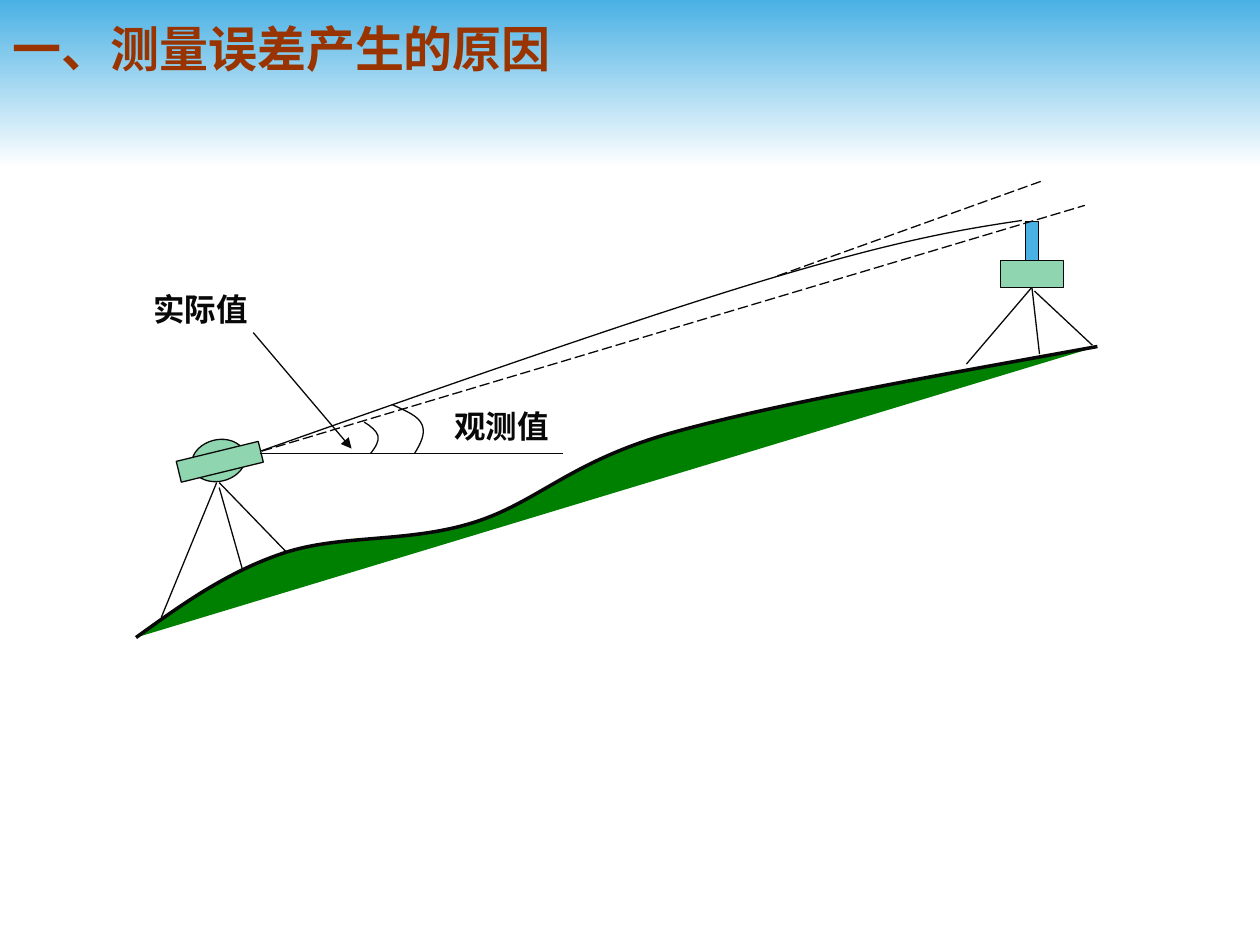
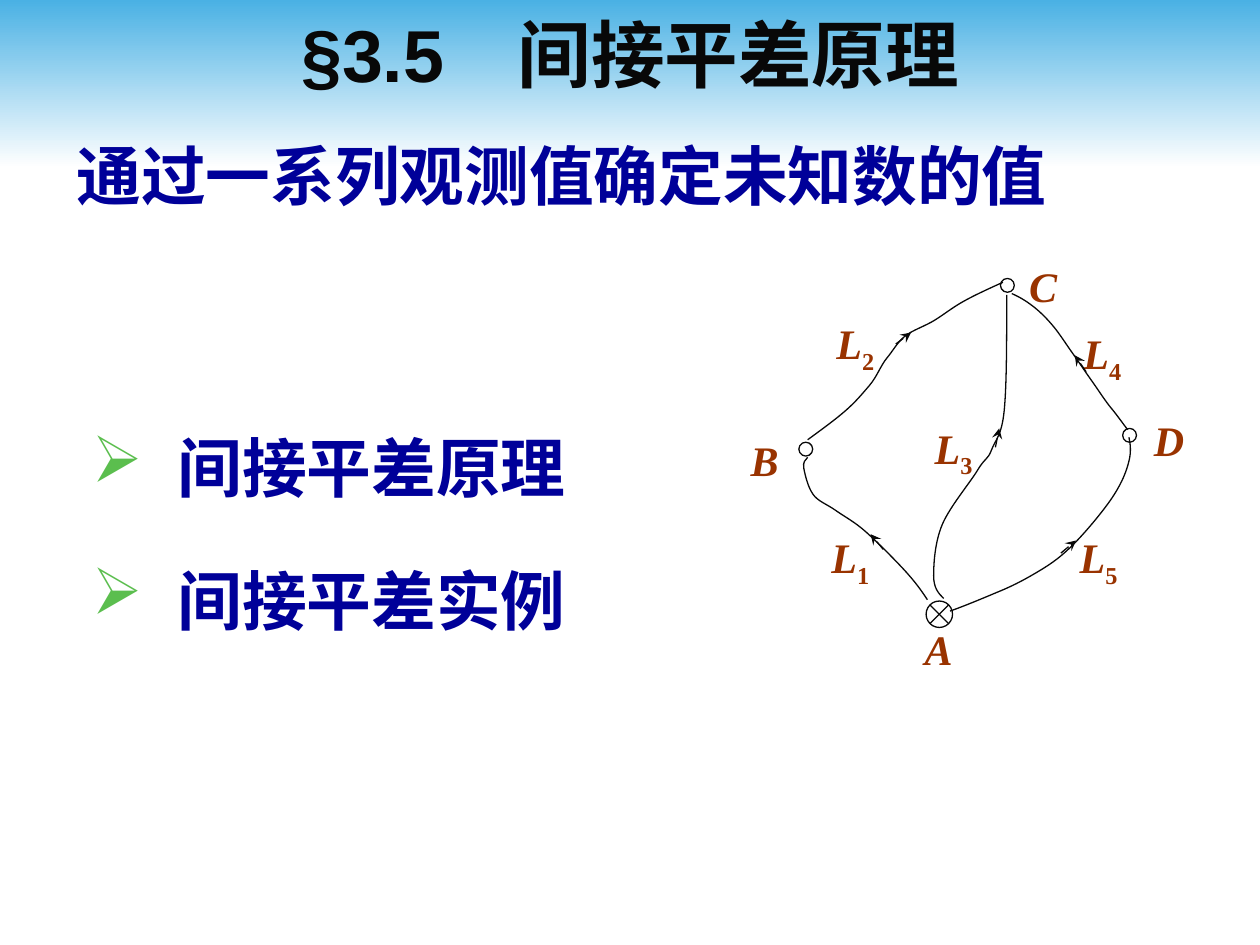
from dataclasses import dataclass
from typing import Optional

from lxml import etree
from pptx import Presentation
from pptx import util as u
from pptx.dml.color import RGBColor
from pptx.enum import dml, shapes, text
from pptx.oxml.ns import qn

PX = u.Inches(1) // 100  # one px is a hundredth of an inch
Point = tuple[int, int]
Box = tuple[int, int, int, int]
Kind = shapes.MSO_SHAPE
Align = text.PP_ALIGN


@dataclass(frozen=True)
class Theme:
    ink: str = "080808"
    sky: str = "4AB1E4"
    white: str = "FFFFFF"
    mint: str = "8FD5AF"
    grass: str = "008000"
    rust: str = "993300"
    navy: str = "000099"
    bullet: str = "5BBE4E"
    sans: str = "Arial"
    serif: str = "Times New Roman"
    label: str = "DejaVu Sans"
    chinese: str = "Noto Sans CJK SC"
    heading: int = 28
    chapter: int = 42
    body: int = 37
    callout: int = 18
    symbol: int = 24
    thin: float = 0.75
    thick: float = 2


THEME = Theme()


@dataclass(frozen=True)
class Style:
    font: str
    size: int
    color: str
    align: Align = Align.LEFT
    spacing: float = 1.0
    before: float = 0
    italic: bool = False


HEADING = Style(THEME.chinese, THEME.heading, THEME.rust, spacing=1.2)
CHAPTER = Style(THEME.sans, THEME.chapter, THEME.ink, Align.CENTER)
BODY = Style(THEME.sans, THEME.body, THEME.navy, spacing=1.5, before=9.2)
CALLOUT = Style(THEME.label, THEME.callout, THEME.ink, Align.CENTER)
SYMBOL = Style(THEME.serif, THEME.symbol, THEME.rust, spacing=1.4, italic=True)


@dataclass(frozen=True)
class Line:
    start: Point
    end: Point
    dashed: bool = False
    head: Optional[str] = None


@dataclass(frozen=True)
class Station:
    name: str
    corner: Point
    label: Point
    size: int = 11
    kind: Kind = Kind.OVAL


@dataclass(frozen=True)
class Route:
    label: Point
    arrow: Line
    knots: list[Point]


# Shared drawing functions
def rgb(color: str) -> RGBColor:
    return RGBColor.from_string(color)


def emu(*lengths: int) -> list[int]:
    return [length * PX for length in lengths]


def ink_line(line, width: float = THEME.thin) -> None:
    line.color.rgb = rgb(THEME.ink)
    line.width = u.Pt(width)


def paint(shape, fill: Optional[str]) -> None:
    shape.shadow.inherit = False
    if fill:
        shape.fill.solid()
        shape.fill.fore_color.rgb = rgb(fill)
    else:
        shape.fill.background()


def add_part(page, kind: Kind, box: Box, fill: Optional[str] = None, turn: float = 0):
    part = page.shapes.add_shape(kind, *emu(*box))
    paint(part, fill)
    ink_line(part.line)
    part.rotation = turn
    return part


def add_line(page, line: Line):
    connector = page.shapes.add_connector(
        shapes.MSO_CONNECTOR.STRAIGHT, *emu(*line.start, *line.end))
    ink_line(connector.line)
    if line.dashed:
        connector.line.dash_style = dml.MSO_LINE.LONG_DASH
    properties = connector.element.spPr
    if line.head:
        etree.SubElement(properties.find(qn("a:ln")), qn("a:tailEnd"), type=line.head)
    etree.SubElement(properties, qn("a:effectLst"))
    return connector


def blend(start: Point, end: Point) -> Point:
    return round((start[0] + end[0]) / 2), round((start[1] + end[1]) / 2)


def smooth(knots: list[Point]) -> list[Point]:
    """Controls and end of each cubic segment of a curve through the knots."""
    arrive, leave = [], []
    for before, knot, after in zip(knots, knots[1:], knots[2:]):
        run, rise = (after[0] - before[0]) / 6, (after[1] - before[1]) / 6
        arrive.append((round(knot[0] - run), round(knot[1] - rise)))
        leave.append((round(knot[0] + run), round(knot[1] + rise)))
    leave.insert(0, blend(knots[0], arrive[0]))
    arrive.append(blend(leave[-1], knots[-1]))
    return [point for segment in zip(leave, arrive, knots[1:]) for point in segment]


def add_curve(page, knots: list[Point], fill: Optional[str] = None,
              width: float = THEME.thin) -> None:
    builder = page.shapes.build_freeform(*knots[0], scale=PX)
    builder.add_line_segments(smooth(knots), close=False)
    curve = builder.convert_to_shape()
    paint(curve, fill)
    ink_line(curve.line, width)
    # Every three vertices become one cubic segment
    outline = next(curve.element.iter(qn("a:path")))
    vertices = outline.findall(qn("a:lnTo"))
    for first in range(0, len(vertices), 3):
        segment = etree.SubElement(outline, qn("a:cubicBezTo"))
        for vertex in vertices[first:first + 3]:
            segment.append(vertex[0])
            outline.remove(vertex)


def format_span(span, style: Style) -> None:
    span.font.name = style.font
    span.font.size = u.Pt(style.size)
    span.font.bold = True
    span.font.italic = style.italic
    span.font.color.rgb = rgb(style.color)
    etree.SubElement(span.font._element, qn("a:ea"), typeface=THEME.chinese)


def write(frame, lines: list[str], style: Style) -> None:
    frame.text = "\n".join(lines)
    frame.word_wrap = True
    for index, para in enumerate(frame.paragraphs):
        para.alignment = style.align
        para.line_spacing = style.spacing
        para.space_before = u.Pt(style.before if index else 0)
        for span in para.runs:
            format_span(span, style)


def add_text(page, box: Box, lines: list[str], style: Style):
    frame = page.shapes.add_textbox(*emu(*box)).text_frame
    write(frame, lines, style)
    return frame


def add_bullets(frame, indent: int) -> None:
    for para in frame.paragraphs:
        properties = para._p.get_or_add_pPr()
        properties.set("marL", str(indent * PX))
        properties.set("indent", str(-indent * PX))
        color = etree.SubElement(properties, qn("a:buClr"))
        etree.SubElement(color, qn("a:srgbClr"), val=THEME.bullet)
        etree.SubElement(properties, qn("a:buChar"), char="➢")


def add_page(deck, title: str, box: Box, style: Style, anchor):
    page = deck.slides.add_slide(deck.slide_layouts[5])
    holder = page.shapes.title
    holder.left, holder.top, holder.width, holder.height = emu(*box)
    frame = holder.text_frame
    write(frame, [title], style)
    frame.auto_size = text.MSO_AUTO_SIZE.NONE
    frame.vertical_anchor = anchor
    return page


def add_master_band(deck, page) -> None:
    band = page.shapes.add_shape(Kind.RECTANGLE, *emu(0, 0, 1000, 133))
    band.shadow.inherit = False
    band.line.fill.background()
    band.fill.gradient()
    band.fill.gradient_angle = 270
    for stop, color in zip(band.fill.gradient_stops, (THEME.sky, THEME.white)):
        stop.color.rgb = rgb(color)
    deck.slide_master.element.cSld.spTree.insert(2, band.element)


# Slide 1: causes of measuring errors
TILT = 346.3
INSTRUMENT_LEGS = [Line((172, 383), (128, 490)), Line((174, 387), (193, 454)),
                   Line((174, 383), (231, 442))]
TARGET_FEET = [(767, 289), (825, 281)]
SIGHT_LINES = [
    Line((821, 231), (867, 274)),
    Line((208, 358), (861, 163), dashed=True),
    Line((617, 219), (826, 144), dashed=True),
    Line((206, 360), (447, 360)),
    Line((201, 264), (279, 356), head="triangle"),
]
LIGHT_PATH = [(207, 358), (615, 220), (811, 175)]
ANGLE_ARCS = [[(289, 335), (300, 346), (294, 360)], [(311, 321), (335, 337), (329, 360)]]
GROUND = [(108, 506), (225, 439), (375, 415), (535, 343), (871, 275)]
CALLOUTS = {"观测值": (343, 318), "实际值": (104, 225)}


def build_causes(deck):
    page = add_page(deck, "一、测量误差产生的原因", (0, 0, 900, 69), HEADING,
                    text.MSO_ANCHOR.TOP)
    # Instrument on its tripod
    add_part(page, Kind.OVAL, (152, 349, 43, 33), THEME.mint, TILT)
    add_part(page, Kind.RECTANGLE, (141, 358, 67, 17), THEME.mint, TILT)
    for leg in INSTRUMENT_LEGS:
        add_line(page, leg)
    # Target on its tripod
    base = add_part(page, Kind.RECTANGLE, (794, 207, 50, 21), THEME.mint)
    add_part(page, Kind.RECTANGLE, (814, 176, 10, 31), THEME.sky)
    for foot in TARGET_FEET:
        add_line(page, Line((819, 228), foot)).begin_connect(base, 2)
    # Lines of sight, angles and ground
    for line in SIGHT_LINES:
        add_line(page, line)
    for knots in (LIGHT_PATH, *ANGLE_ARCS):
        add_curve(page, knots)
    for words, corner in CALLOUTS.items():
        add_text(page, (*corner, 110, 40), [words], CALLOUT)
    add_curve(page, GROUND, THEME.grass, THEME.thick)
    return page


# Slide 2: levelling network
STATIONS = [
    Station("A", (735, 477), (724, 474), 21, Kind.FLOWCHART_SUMMING_JUNCTION),
    Station("B", (634, 351), (586, 324)),
    Station("C", (794, 221), (807, 186)),
    Station("D", (891, 340), (906, 308)),
]
ROUTES = [
    Route((650, 399), Line((701, 436), (691, 424), head="stealth"),
          [(736, 476), (720, 455), (687, 422), (663, 405), (645, 392), (638, 372),
           (641, 363)]),
    Route((654, 229), Line((711, 273), (723, 264), head="stealth"),
          [(641, 349), (671, 326), (690, 306), (704, 284), (718, 267), (742, 254),
           (765, 239), (796, 224)]),
    Route((732, 312), Line((790, 355), (793, 340), head="stealth"),
          [(749, 475), (741, 457), (748, 416), (776, 373), (787, 357), (797, 326),
           (799, 234)]),
    Route((850, 237), Line((862, 295), (853, 282), head="stealth"),
          [(895, 341), (882, 324), (867, 303), (851, 280), (836, 259), (821, 244),
           (803, 233)]),
    Route((847, 399), Line((842, 439), (854, 429), head="stealth"),
          [(754, 485), (794, 469), (825, 453), (852, 432), (884, 393), (896, 366),
           (896, 347)]),
]


def build_principle(deck):
    page = add_page(deck, "§3.5　间接平差原理", (0, 0, 1000, 85), CHAPTER,
                    text.MSO_ANCHOR.MIDDLE)
    topics = add_text(page, (63, 304, 461, 264), ["间接平差原理", "间接平差实例"], BODY)
    add_bullets(topics, 68)
    add_text(page, (51, 72, 890, 118), ["通过一系列观测值确定未知数的值"], BODY)
    # Stations
    for station in STATIONS:
        add_part(page, station.kind, (*station.corner, station.size, station.size))
        add_text(page, (*station.label, 55, 66), [station.name], SYMBOL)
    # Observed routes, each with a subscripted label
    for index, route in enumerate(ROUTES, start=1):
        para = add_text(page, (*route.label, 75, 74), ["L"], SYMBOL).paragraphs[0]
        number = para.add_run()
        number.text = str(index)
        format_span(number, SYMBOL)
        number.font.italic = False
        number.font._element.set("baseline", "-25000")
        add_curve(page, route.knots)
        add_line(page, route.arrow)
    return page


def main() -> None:
    deck = Presentation()
    deck.slide_width, deck.slide_height = emu(1000, 750)
    add_master_band(deck, build_causes(deck))
    build_principle(deck)
    deck.save("out.pptx")


if __name__ == "__main__":
    main()
